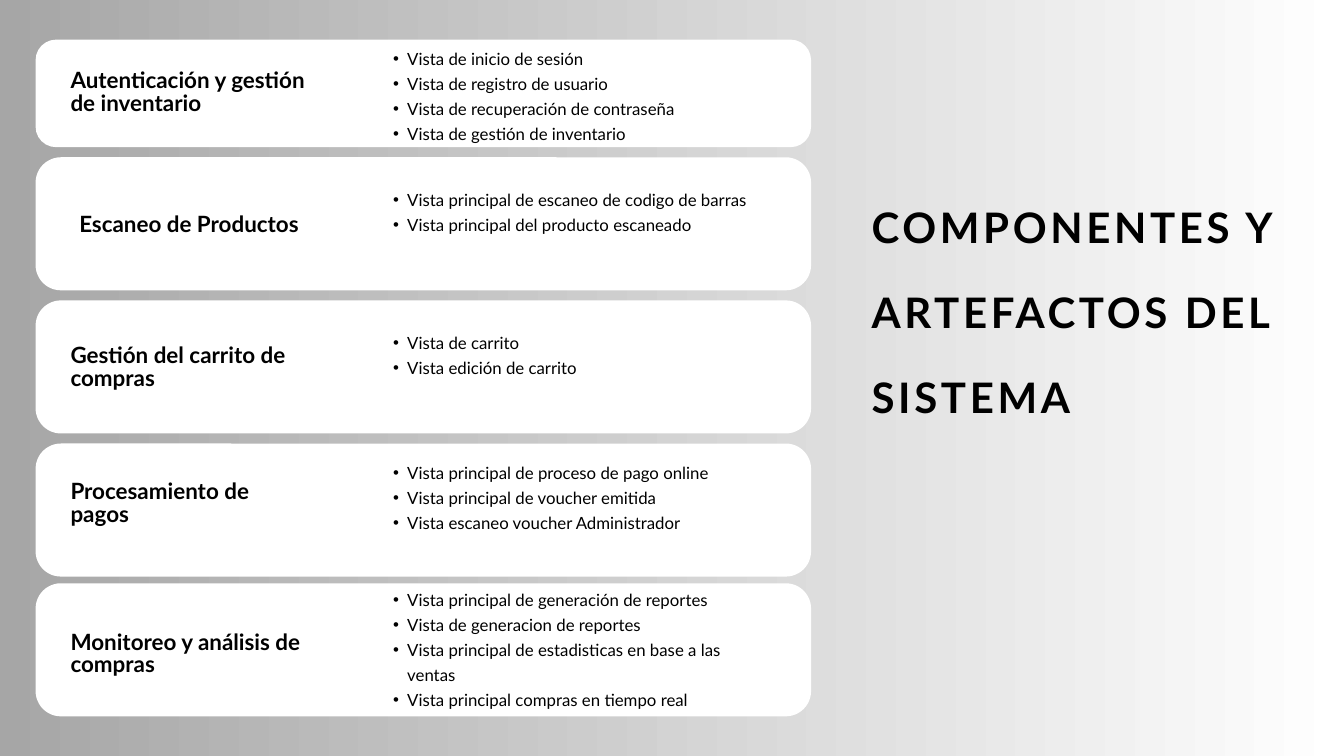
from dataclasses import dataclass

from lxml.etree import SubElement
from pptx import Presentation
from pptx.dml.color import RGBColor
from pptx.enum.shapes import MSO_SHAPE as Shape
from pptx.enum.text import MSO_ANCHOR as Anchor, MSO_AUTO_SIZE as AutoSize, PP_ALIGN as Align
from pptx.oxml.ns import qn
from pptx.util import Pt

SCALE = 9144  # EMU in one px, 100 px to the inch


@dataclass(frozen=True)
class Theme:
    font: str = "Lato"
    ink: RGBColor = RGBColor(0, 0, 0)
    card: RGBColor = RGBColor(255, 255, 255)
    shade: RGBColor = RGBColor(166, 166, 166)
    light: RGBColor = RGBColor(255, 255, 255)
    # type size and line spacing, in points
    title: tuple = (45, 91.3)
    label: tuple = (24, 24.5)
    item: tuple = (18, 26.8)


THEME = Theme()

# card top and height, label x and y, list y (all inside the card), label, items
CARD_LEFT, CARD_WIDTH = 53, 1154
CARDS = [
    (59, 160, 52, 46, 6, "Autenticación y gestión de inventario",
     ["Vista de inicio de sesión", "Vista de registro de usuario",
      "Vista de recuperación de contraseña", "Vista de gestión de inventario"]),
    (234, 198, 65, 84, 41, "Escaneo de Productos",
     ["Vista principal de escaneo de codigo de barras",
      "Vista principal del producto escaneado"]),
    (447, 198, 52, 67, 41, "Gestión del carrito de compras",
     ["Vista de carrito", "Vista edición de carrito"]),
    (660, 198, 52, 56, 21, "Procesamiento de pagos",
     ["Vista principal de proceso de pago online",
      "Vista principal de voucher emitida", "Vista escaneo voucher Administrador"]),
    (868, 198, 52, 72, 2, "Monitoreo y análisis de compras",
     ["Vista principal de generación de reportes", "Vista de generacion de reportes",
      "Vista principal de estadisticas en base a las ventas",
      "Vista principal compras en tiempo real"]),
]


def px(*lengths):
    return [length * SCALE for length in lengths]


def fill_text(box, lines, style, bold=False):
    """Write the lines as paragraphs in a frame without margins."""
    size, spacing = style
    frame = box.text_frame
    frame.word_wrap = True
    frame.auto_size = AutoSize.NONE
    frame.vertical_anchor = Anchor.TOP
    frame.margin_left = frame.margin_top = frame.margin_right = frame.margin_bottom = 0
    frame.text = "\n".join(lines)
    for para in frame.paragraphs:
        para.alignment = Align.LEFT
        para.line_spacing = Pt(spacing)
        for span in para.runs:
            span.font.name = THEME.font
            span.font.size = Pt(size)
            span.font.bold = bold
            span.font.color.rgb = THEME.ink
    return frame.paragraphs


def add_bullet(para):
    para.level = 1
    properties = para._p.get_or_add_pPr()
    margin, indent = px(42, -21)
    properties.set("marL", str(margin))
    properties.set("indent", str(indent))
    SubElement(properties, qn("a:buFont")).set("typeface", "Arial")
    SubElement(properties, qn("a:buChar")).set("char", "•")


def paint_background(page):
    fill = page.background.fill
    fill.gradient()
    fill.gradient_angle = 0
    for stop, color in zip(fill.gradient_stops, (THEME.shade, THEME.light)):
        stop.color.rgb = color


def place_title(page, left, top, width, height):
    title = page.shapes.title
    title.left, title.top, title.width, title.height = px(left, top, width, height)
    para, = fill_text(title, ["COMPONENTES Y ARTEFACTOS DEL SISTEMA"], THEME.title, bold=True)
    para.runs[0].font._element.set("spc", "390")


def add_card(page, left, top, width, height, label_x, label_y, list_y, label, items):
    # White panel
    panel = page.shapes.add_shape(Shape.ROUNDED_RECTANGLE, *px(left, top, width, height))
    panel.adjustments[0] = 0.19
    panel.shadow.inherit = False
    panel.fill.solid()
    panel.fill.fore_color.rgb = THEME.card
    panel.line.fill.background()

    # Component name
    name = page.shapes.add_textbox(*px(left + label_x, top + label_y, 360, 69))
    fill_text(name, [label], THEME.label, bold=True)

    # Views of the component
    views = page.shapes.add_textbox(*px(left + 511, top + list_y, 553, height - list_y))
    for para in fill_text(views, items, THEME.item):
        add_bullet(para)


def main():
    deck = Presentation()
    deck.slide_width, deck.slide_height = px(2000, 1125)
    page = deck.slides.add_slide(deck.slide_layouts[5])
    paint_background(page)
    place_title(page, 1297, 248, 643, 366)
    for top, height, *content in CARDS:
        add_card(page, CARD_LEFT, top, CARD_WIDTH, height, *content)
    deck.save("out.pptx")


if __name__ == "__main__":
    main()
